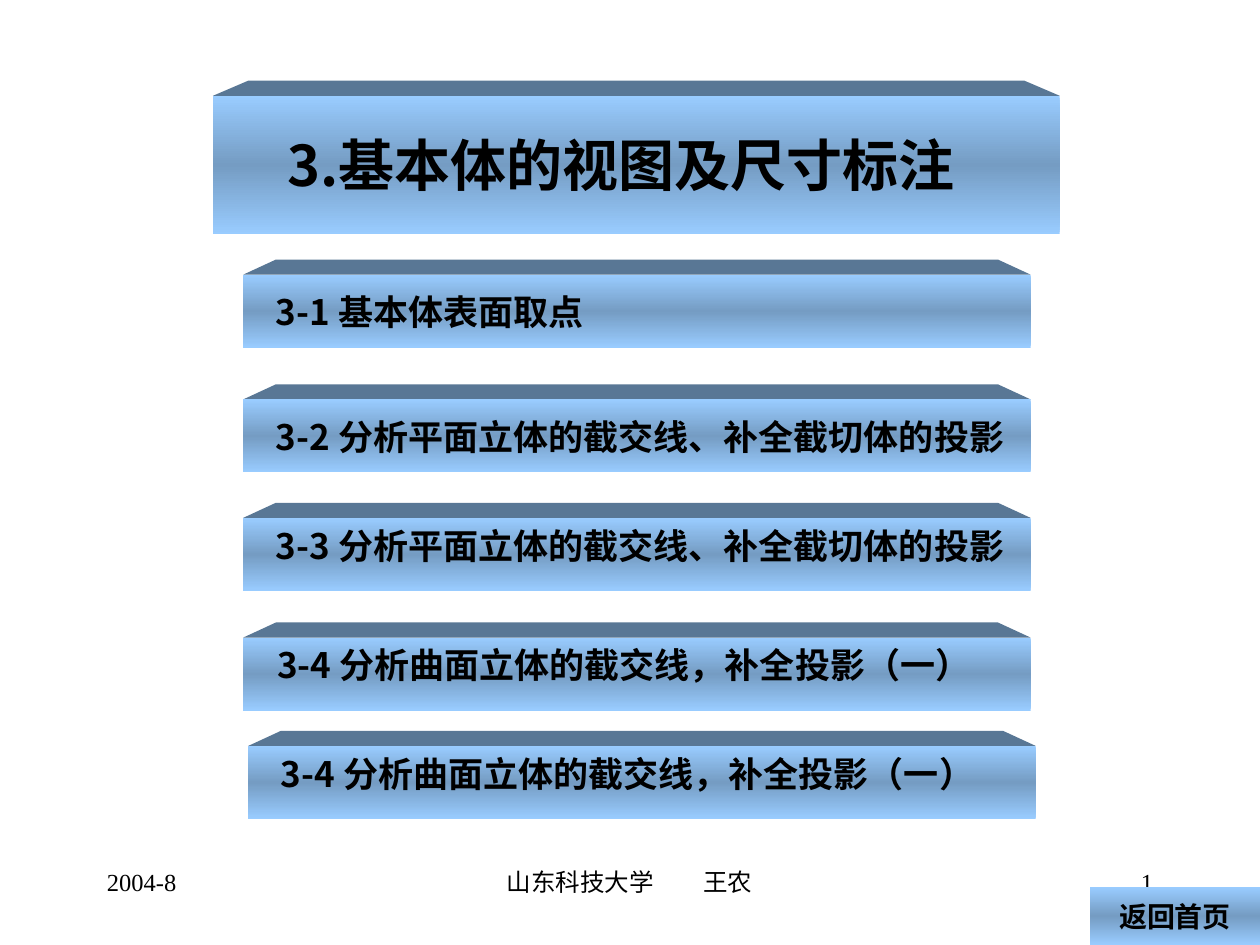
from copy import deepcopy

from lxml import etree
from pptx import Presentation
from pptx.dml.color import RGBColor
from pptx.enum.shapes import MSO_SHAPE
from pptx.enum.text import MSO_ANCHOR, PP_ALIGN
from pptx.oxml.ns import qn
from pptx.util import Inches, Pt

RECTANGLE, BUTTON = MSO_SHAPE.RECTANGLE, MSO_SHAPE.ACTION_BUTTON_CUSTOM
MIDDLE, TOP = MSO_ANCHOR.MIDDLE, MSO_ANCHOR.TOP
LEFT, CENTER, RIGHT = PP_ALIGN.LEFT, PP_ALIGN.CENTER, PP_ALIGN.RIGHT

LIGHT = RGBColor(0x99, 0xCC, 0xFF)
MID = RGBColor(0x75, 0x9C, 0xC3)
DARK = RGBColor(0x59, 0x77, 0x95)
BLACK = RGBColor(0, 0, 0)
SANS, SERIF = "Noto Sans CJK SC", "Times New Roman"

# Content
TITLE = "3.基本体的视图及尺寸标注"
# (text, bar left, bar top, text left, text top)
SECTIONS = [
    ("3-1 基本体表面取点", 1.93, 2.18, 2.09, 2.26),
    ("3-2 分析平面立体的截交线、补全截切体的投影", 1.93, 3.17, 2.09, 3.25),
    ("3-3 分析平面立体的截交线、补全截切体的投影", 1.93, 4.11, 2.09, 4.11),
    ("3-4 分析曲面立体的截交线，补全投影（一）", 1.93, 5.06, 2.1, 5.06),
    ("3-4 分析曲面立体的截交线，补全投影（一）", 1.97, 5.92, 2.13, 5.92),
]
# (text, left, width, alignment, left inset)
FOOTERS = [
    ("2004-8", 0.75, 2.08, LEFT, 0.1),
    ("山东科技大学\t王农", 3.42, 3.17, LEFT, 0.6),
    ("1", 7.17, 2.08, RIGHT, 0.1),
]
BACK_LABEL = "返回首页"
BAR_WIDTH, BAR_HEIGHT = 6.25, 0.58
BEVEL_HEIGHT = 0.12


def write(box, text, size, font=SANS, bold=True, align=LEFT, anchor=TOP, wrap=True):
    frame = box.text_frame
    frame.word_wrap = wrap
    frame.vertical_anchor = anchor
    para = frame.paragraphs[0]
    para.alignment = align
    span = para.add_run()
    span.text = text
    span.font.size = Pt(size)
    span.font.bold = bold
    span.font.color.rgb = BLACK
    span.font.name = font
    east_asian = etree.SubElement(span.font._element, qn("a:ea"))
    east_asian.set("typeface", SANS)


def add_text(page, left, top, width, height, *args, **options):
    box = page.shapes.add_textbox(*map(Inches, (left, top, width, height)))
    write(box, *args, **options)
    return box


def add_face(page, kind, left, top, width, height):
    """Rectangle shaded light, mid, light from top to bottom."""
    face = page.shapes.add_shape(kind, *map(Inches, (left, top, width, height)))
    face.shadow.inherit = False
    face.line.fill.background()
    face.fill.gradient()
    face.fill.gradient_angle = 90
    stop_list = face._element.spPr.find(".//" + qn("a:gsLst"))
    stop_list.insert(1, deepcopy(stop_list[0]))
    shades = ((0, LIGHT), (0.5, MID), (1, LIGHT))
    for stop, (position, colour) in zip(face.fill.gradient_stops, shades):
        stop.position = position
        stop.color.rgb = colour
    return face


def add_bar(page, left, top, width, height, inset):
    """Shaded face with a dark bevel receding above it."""
    right, back = left + width, top - BEVEL_HEIGHT
    outline = page.shapes.build_freeform(Inches(left), Inches(top))
    corners = [(left + inset, back), (right - inset, back), (right, top)]
    outline.add_line_segments([(Inches(x), Inches(y)) for x, y in corners])
    bevel = outline.convert_to_shape()
    bevel.shadow.inherit = False
    bevel.fill.solid()
    bevel.fill.fore_color.rgb = DARK
    bevel.line.fill.background()
    return add_face(page, RECTANGLE, left, top, width, height)


def main():
    deck = Presentation()
    deck.slide_width, deck.slide_height = Inches(10), Inches(7.5)
    page = deck.slides.add_slide(deck.slide_layouts[5])

    # Footer line
    for text, left, width, align, inset in FOOTERS:
        box = add_text(page, left, 6.83, width, 0.5, text, 14, SERIF, False, align)
        box.text_frame.margin_left = Inches(inset)
        if "\t" in text:
            properties = box.text_frame.paragraphs[0]._p.get_or_add_pPr()
            tabs = etree.SubElement(properties, qn("a:tabLst"))
            etree.SubElement(tabs, qn("a:tab"), pos=str(Inches(1.56)), algn="l")

    # Section bars
    for text, left, top, text_left, text_top in SECTIONS:
        add_bar(page, left, top, BAR_WIDTH, BAR_HEIGHT, 0.26)
        add_text(page, text_left, text_top, 6.22, 0.43, text, 20)

    # Title in front of its bar
    title_bar = add_bar(page, 1.69, 0.76, 6.72, 1.1, 0.28)
    title = page.shapes.title
    title.left, title.top = Inches(1.95), Inches(0.91)
    title.width, title.height = Inches(5.96), Inches(0.79)
    write(title, TITLE, 32, align=CENTER, anchor=MIDDLE)
    title_bar._element.addnext(title._element)

    # Back button
    button = add_face(page, BUTTON, 8.65, 7.04, 1.35, 0.46)
    write(button, BACK_LABEL, 16, SERIF, align=CENTER, anchor=MIDDLE, wrap=False)

    deck.save("out.pptx")


if __name__ == "__main__":
    main()
